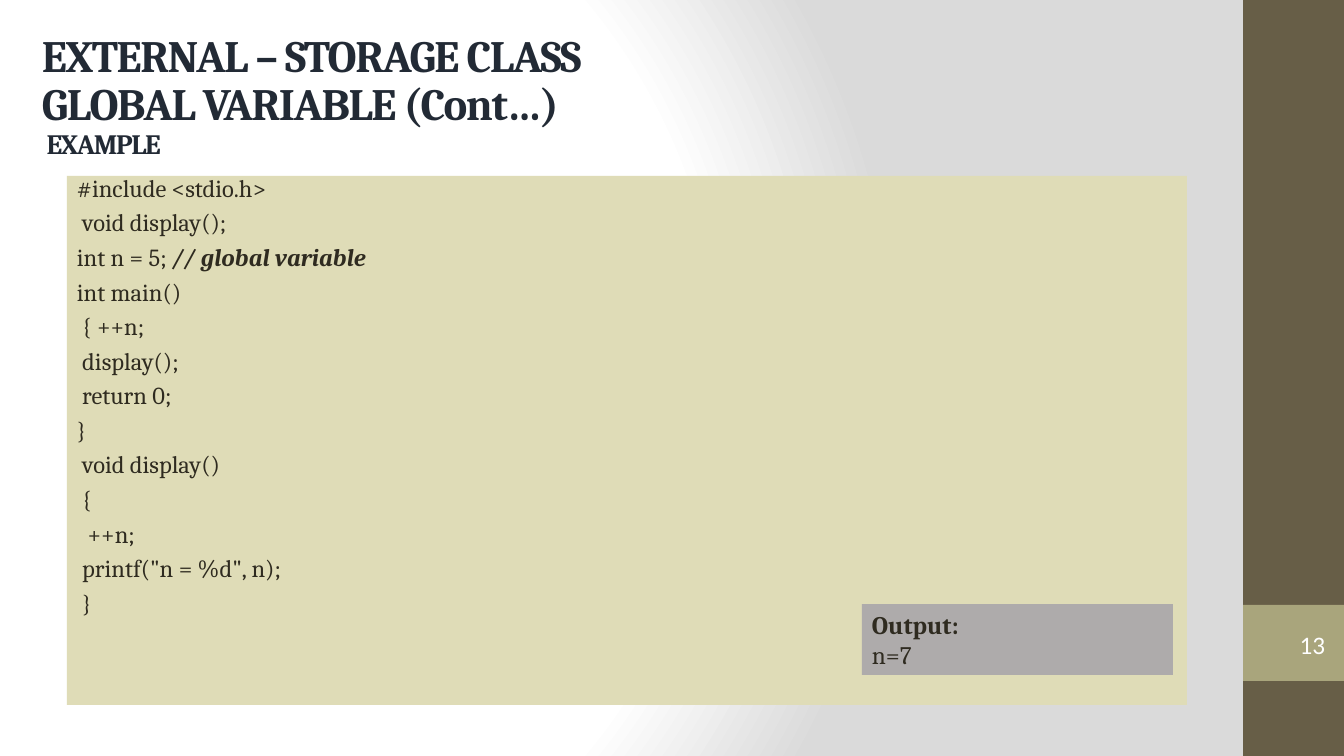
import pptx
import pptx.util
import pptx.oxml
import pptx.oxml.ns
import pptx.dml.color
import pptx.enum.shapes
import pptx.enum.text

PX = 12192000 / 1344
HUES = {
    "bar": "675E47", "tab": "A9A57C", "code": "DFDCB7", "out": "AEABAB",
    "head": "222A35", "ink": "2F2B20", "white": "FFFFFF",
}
CODE = [
    "#include <stdio.h>",
    " void display();",
    "int n = 5; ",
    "int main()",
    " { ++n;",
    " display();",
    " return 0;",
    "}",
    " void display()",
    " {",
    "  ++n;",
    ' printf("n = %d", n);',
    " }",
]
NOTES = {"int n = 5; ": "// global variable"}


def add_box(spot, fill=None, mid=False):
    area = [round(n * PX) for n in spot]
    if fill:
        box = slide.shapes.add_shape(pptx.enum.shapes.MSO_SHAPE.RECTANGLE, *area)
        box.shadow.inherit = False
        box.fill.solid()
        box.fill.fore_color.rgb = pptx.dml.color.RGBColor.from_string(HUES[fill])
        box.line.fill.background()
    else:
        box = slide.shapes.add_textbox(*area)
    frame = box.text_frame
    frame.word_wrap = True
    anchor = pptx.enum.text.MSO_ANCHOR
    frame.vertical_anchor = anchor.MIDDLE if mid else anchor.TOP
    return frame


def style(para, size, hue, face="Cambria", bold=False, align="LEFT"):
    para.alignment = pptx.enum.text.PP_ALIGN[align]
    para.font.size = pptx.util.Pt(size)
    para.font.name = face
    para.font.bold = bold
    para.font.color.rgb = pptx.dml.color.RGBColor.from_string(HUES[hue])


deck = pptx.Presentation()
deck.slide_width = round(1344 * PX)
deck.slide_height = round(756 * PX)
slide = deck.slides.add_slide(deck.slide_layouts[6])

stops = "".join(
    f'<a:gs pos="{at * 1000}"><a:srgbClr val="{hue}"/></a:gs>'
    for at, hue in [(0, "FFFFFF"), (75, "FFFFFF"), (100, "DADADA")]
)
back = pptx.oxml.parse_xml(
    f'<p:bg {pptx.oxml.ns.nsdecls("p", "a")}><p:bgPr><a:gradFill rotWithShape="1">'
    f'<a:gsLst>{stops}</a:gsLst><a:path path="circle">'
    '<a:fillToRect l="20000" t="50000" r="100000" b="50000"/></a:path>'
    '</a:gradFill><a:effectLst/></p:bgPr></p:bg>'
)
slide.element.cSld.insert(0, back)

add_box((1243, 0, 101, 756), "bar")
add_box((1243, 605, 101, 76), "tab")

title = add_box((32, 24, 1172, 146), mid=True).paragraphs[0]
title.text = "EXTERNAL – STORAGE CLASS\vGLOBAL VARIABLE (Cont…)\v"
title.line_spacing = 0.9
style(title, 32, "head", bold=True)
label = title.add_run()
label.text = " EXAMPLE"
label.font.size = pptx.util.Pt(20)
for run in title.runs:
    run.font.bold = True
    run._r.get_or_add_rPr().set("spc", "-100")

code = add_box((67, 176, 1120, 529), "code")
for row, line in enumerate(CODE):
    para = code.add_paragraph() if row else code.paragraphs[0]
    para.text = line
    para.line_spacing = 0.7
    if row:
        para.space_before = pptx.util.Pt(10)
    props = para._p.get_or_add_pPr()
    props.set("marL", "228600")
    props.set("indent", "-228600")
    style(para, 17.5, "ink")
    if line in NOTES:
        note = para.add_run()
        note.text = NOTES[line]
        note.font.bold = True
        note.font.italic = True

page = add_box((1254, 623, 81, 43), mid=True).paragraphs[0]
page.text = "13"
style(page, 18, "white", "Calibri", align="RIGHT")

result = add_box((862, 604, 311, 71), "out")
result.text = "Output:\nn=7"
for para, bold in zip(result.paragraphs, (True, False)):
    style(para, 18, "ink", bold=bold)

deck.save("out.pptx")
